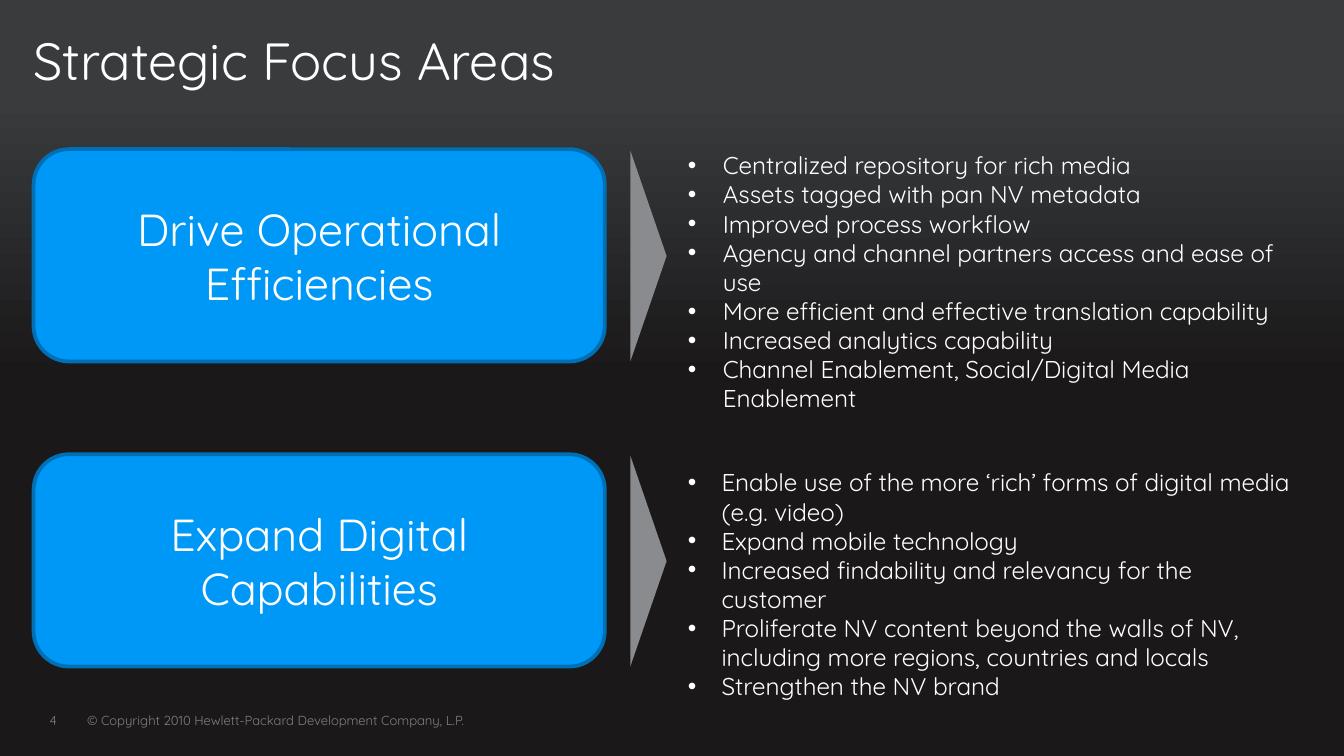
from dataclasses import dataclass

from lxml import etree
from pptx import Presentation
from pptx.dml.color import RGBColor
from pptx.enum.shapes import MSO_SHAPE
from pptx.enum.text import MSO_ANCHOR, PP_ALIGN
from pptx.oxml.ns import qn
from pptx.util import Emu, Inches, Pt

ROUND, TRI = MSO_SHAPE.ROUNDED_RECTANGLE, MSO_SHAPE.ISOSCELES_TRIANGLE
TOP, MID, LOW = MSO_ANCHOR.TOP, MSO_ANCHOR.MIDDLE, MSO_ANCHOR.BOTTOM
LEFT, CENTER = PP_ALIGN.LEFT, PP_ALIGN.CENTER

FONT = "Quicksand"
HUES = {
    "top": "393B3D", "base": "1A1819", "white": "FFFFFF", "foot": "808080",
    "card": "0098F6", "edge": "0070B6", "arrow": "898B8F",
}
WIDTH = Inches(10)
HEIGHT = WIDTH * 9 // 16
CELL = WIDTH // 100  # grid of 100 columns


@dataclass
class Box:
    """Place and size in grid columns and rows."""
    col: float
    row: float
    wide: float
    high: float

    def frame(self) -> list[Emu]:
        return [Emu(round(n * CELL)) for n in (self.col, self.row, self.wide, self.high)]


@dataclass
class Focus:
    """One focus area: its card and its points."""
    title: str
    row: float
    list_box: Box
    indent: float
    points: list[str]


AREAS = [
    Focus("Drive Operational Efficiencies", 11.1, Box(50.2, 10.7, 46.7, 16.2), 2.6, [
        "Centralized repository for rich media",
        "Assets tagged with pan NV metadata",
        "Improved process workflow",
        "Agency and channel partners access and ease of use",
        "More efficient and effective translation capability",
        "Increased analytics capability",
        "Channel Enablement, Social/Digital Media Enablement",
    ]),
    Focus("Expand Digital Capabilities", 33.8, Box(50.2, 34.3, 47.5, 14.5), 2.5, [
        "Enable use of the more ‘rich’ forms of digital media (e.g. video)",
        "Expand mobile technology",
        "Increased findability and relevancy for the customer",
        "Proliferate NV content beyond the walls of NV, including more regions, "
        "countries and locals",
        "Strengthen the NV brand",
    ]),
]


def hue(name: str) -> RGBColor:
    return RGBColor.from_string(HUES[name])


def write(frame, lines: list[str], size: float, color: str = "white",
          anchor=TOP, align=LEFT, indent: float = 0) -> None:
    """Fill a text frame, one paragraph a line; an indent adds bullets."""
    frame.word_wrap = True
    frame.vertical_anchor = anchor
    for num, line in enumerate(lines):
        para = frame.add_paragraph() if num else frame.paragraphs[0]
        para.alignment = align
        if indent:
            props = para._p.get_or_add_pPr()
            props.set("marL", str(round(indent * CELL)))
            props.set("indent", str(-round(indent * CELL)))
            etree.SubElement(props, qn("a:buFont")).set("typeface", "Arial")
            etree.SubElement(props, qn("a:buChar")).set("char", "•")
        run = para.add_run()
        run.text = line
        run.font.name, run.font.size = FONT, Pt(size)
        run.font.color.rgb = hue(color)


def add_text(slide, box: Box, lines: list[str], size: float, **style) -> None:
    write(slide.shapes.add_textbox(*box.frame()).text_frame, lines, size, **style)


def add_form(slide, kind, box: Box, fill: str, edge: str = ""):
    form = slide.shapes.add_shape(kind, *box.frame())
    form.shadow.inherit = False
    form.fill.solid()
    form.fill.fore_color.rgb = hue(fill)
    if edge:
        form.line.color.rgb = hue(edge)
        form.line.width = Pt(2)
    else:
        form.line.fill.background()
    return form


def add_area(slide, area: Focus) -> None:
    # Card
    card = add_form(slide, ROUND, Box(2.5, area.row, 42.5, 15.8), "card", "edge")
    write(card.text_frame, [area.title], 24, anchor=MID, align=CENTER)
    # Arrow, turned to point at the list
    arrow = add_form(slide, TRI, Box(40.4, area.row + 6.6, 15.7, 2.7), "arrow")
    arrow.rotation = 90
    # Points
    add_text(slide, area.list_box, area.points, 13, indent=area.indent)


def main() -> None:
    deck = Presentation()
    deck.slide_width, deck.slide_height = WIDTH, HEIGHT
    slide = deck.slides.add_slide(deck.slide_layouts[6])

    # Background, dark towards the bottom
    back = slide.background.fill
    back.gradient()
    back.gradient_angle = 270
    for stop, (name, place) in zip(back.gradient_stops, [("top", 0.13), ("base", 0.5)]):
        stop.color.rgb = hue(name)
        stop.position = place

    # Footer
    add_text(slide, Box(5.5, 52.5, 43.1, 2.2),
             ["© Copyright 2010 Hewlett-Packard Development Company, L.P."], 7, color="foot")
    add_text(slide, Box(2.7, 52.5, 4.2, 2.2), ["4"], 7, color="foot")

    # Title and focus areas
    add_text(slide, Box(1.5, 1.3, 92.7, 6), ["Strategic Focus Areas"], 28, anchor=LOW)
    for area in AREAS:
        add_area(slide, area)

    deck.save("out.pptx")


if __name__ == "__main__":
    main()
